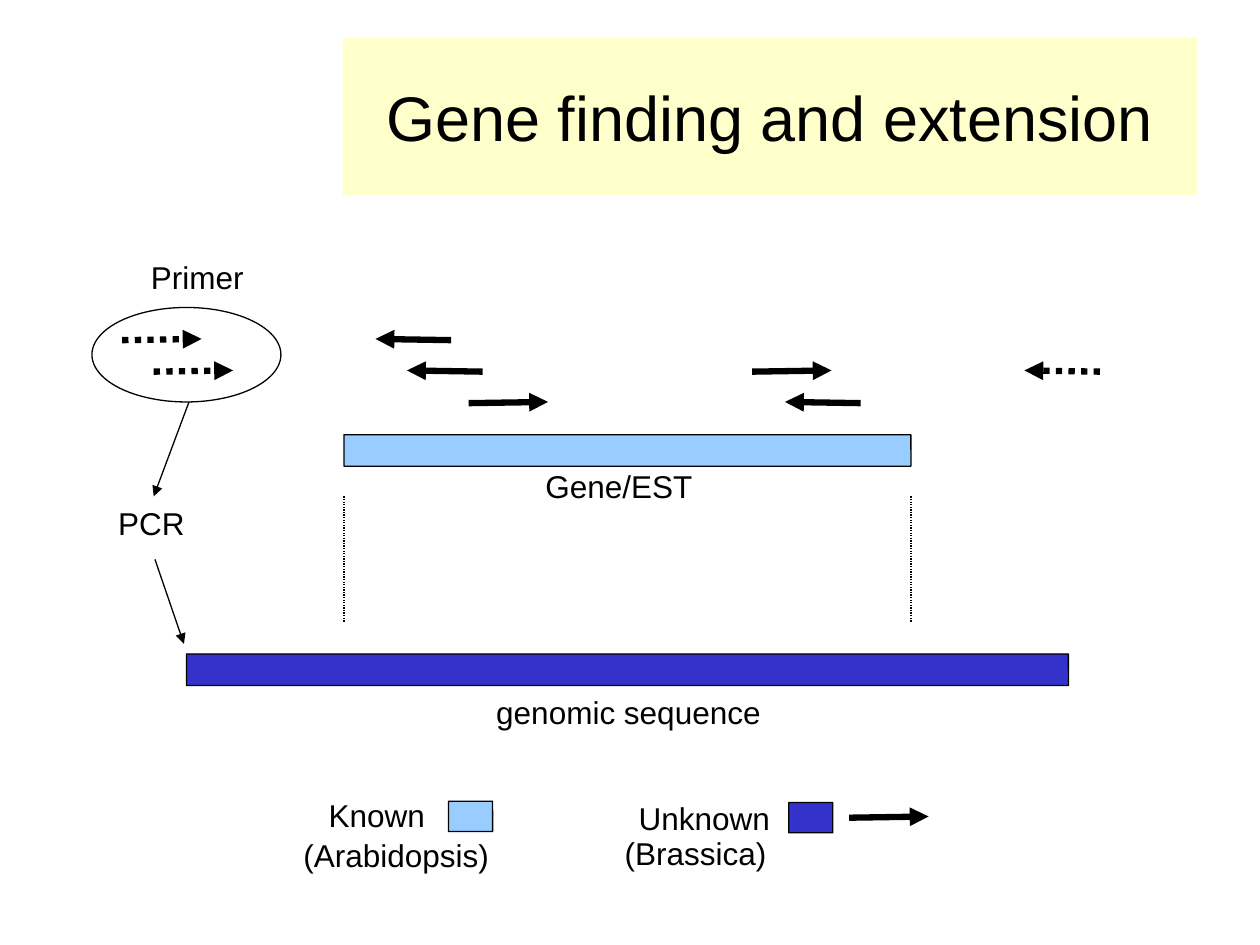
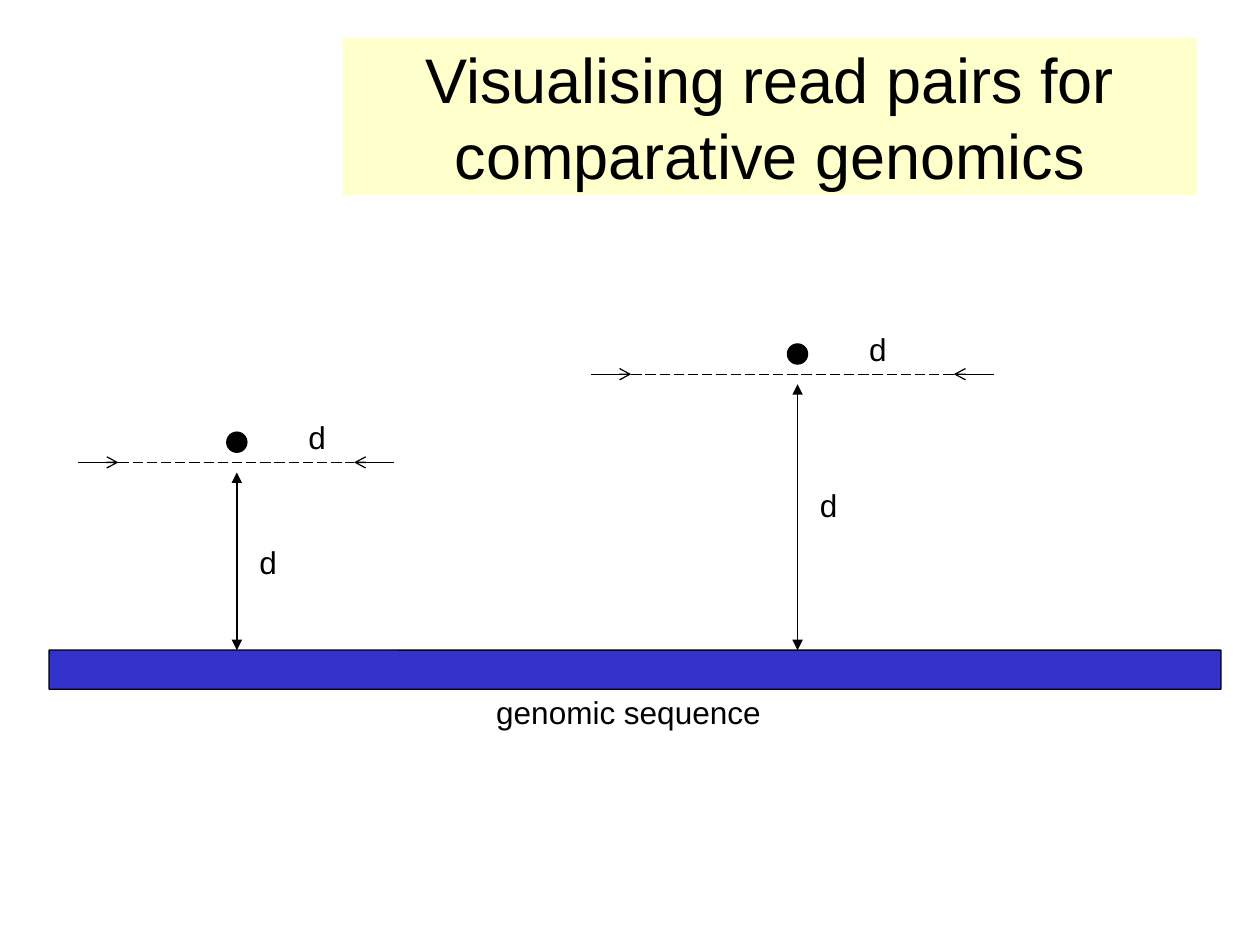
import pptx
import pptx.util
import pptx.dml.color
import pptx.enum.dml
import pptx.enum.shapes
import pptx.enum.text
from pptx.oxml.ns import qn
from lxml import etree

# ---- Shared look ----
WIDTH, HEIGHT = 10, 7.5
FONT = "Arial"
BLACK, TITLE_BAND, KNOWN, UNKNOWN = "000000", "FFFFCC", "99CCFF", "3333CC"
THIN, THICK = 0.75, 3.6
TITLE_BOX = (2.72, 0.3, 6.78, 1.25)
SEQUENCE_LABEL = ("genomic sequence", 3.84, 5.49, 3.5)
SHAPES = pptx.enum.shapes.MSO_SHAPE
DOTTED = pptx.enum.dml.MSO_LINE.ROUND_DOT
DASHED = pptx.enum.dml.MSO_LINE.LONG_DASH

# ---- Slide 1: gene finding ----
FINDING_TITLE = "Gene finding and extension"
FINDING_BARS = [  # left, top, width, height, colour
    (2.73, 3.45, 4.5, 0.25, KNOWN),
    (1.48, 5.19, 7, 0.25, UNKNOWN),
    (3.56, 6.36, 0.35, 0.24, KNOWN),
    (6.26, 6.37, 0.35, 0.24, UNKNOWN),
]
FINDING_LABELS = [  # text, left, top, width
    ("Primer", 1.1, 2.04, 1),
    ("PCR", 0.84, 3.99, 1),
    ("Gene/EST", 4.23, 3.7, 1.5),
    SEQUENCE_LABEL,
    ("Known", 2.51, 6.31, 1.03),
    ("(Arabidopsis)", 2.31, 6.63, 1.8),
    ("Unknown", 4.97, 6.33, 1.28),
    ("(Brassica)", 4.86, 6.61, 1.5),
]
READ_TOP, READ_STEP = 2.69, 0.25
READS = [  # row, tail x, tip x, dash
    (0, 0.97, 1.6, DOTTED),
    (0, 3.58, 2.98, None),
    (1, 1.22, 1.85, DOTTED),
    (1, 3.83, 3.23, None),
    (1, 5.97, 6.6, None),
    (1, 8.73, 8.13, DOTTED),
    (2, 3.72, 4.35, None),
    (2, 6.83, 6.23, None),
    (15.16, 6.74, 7.37, None),  # legend
]
PRIMER_OVAL = (0.73, 2.44, 1.5, 0.75)
PCR_STEPS = [((1.5, 3.19), (1.22, 3.94)), ((1.23, 4.44), (1.46, 5.11))]
GUIDE_TOP, GUIDE_BOTTOM = 3.94, 4.94

# ---- Slide 2: read pairs ----
PAIRS_TITLE = "Visualising read pairs for comparative genomics"
GENOME_BAR = (0.39, 5.16, 9.3, 0.31, UNKNOWN)
READ_LENGTH, DOT = 0.32, 0.16
READ_PAIRS = [  # left, right, height of pair, axis x, top of lower label
    (0.62, 3.13, 3.67, 1.88, 4.3),
    (4.69, 7.89, 2.97, 6.33, 3.85),
]


def colour(hex_code):
    return pptx.dml.color.RGBColor.from_string(hex_code)


def inches(*lengths):
    return [pptx.util.Inches(length) for length in lengths]


def add_block(slide, kind, box, fill=None, outline=BLACK):
    block = slide.shapes.add_shape(kind, *inches(*box))
    block.shadow.inherit = False
    if fill:
        block.fill.solid()
        block.fill.fore_color.rgb = colour(fill)
    else:
        block.fill.background()
    if outline:
        block.line.color.rgb = colour(outline)
        block.line.width = pptx.util.Pt(THIN)
    else:
        block.line.fill.background()
    return block


def add_bar(slide, left, top, width, height, fill):
    bar = add_block(slide, SHAPES.ROUNDED_RECTANGLE, (left, top, width, height), fill)
    bar.adjustments[0] = 0.007


def write(paragraph, text, size):
    paragraph.text = text
    paragraph.font.name = FONT
    paragraph.font.size = pptx.util.Pt(size)
    paragraph.font.color.rgb = colour(BLACK)


def add_label(slide, text, left, top, width, height=0.38):
    label = slide.shapes.add_textbox(*inches(left, top, width, height))
    label.text_frame.word_wrap = True
    paragraph = label.text_frame.paragraphs[0]
    paragraph.line_spacing = 0.87
    write(paragraph, text, 18)


def add_line(slide, start, end, weight=THIN, dash=None, head=None, tail=None):
    """Draw a line; head is the arrowhead at its start, tail the one at its end."""
    line = slide.shapes.add_connector(
        pptx.enum.shapes.MSO_CONNECTOR.STRAIGHT, *inches(*start, *end))
    line.line.color.rgb = colour(BLACK)
    line.line.width = pptx.util.Pt(weight)
    if dash:
        line.line.dash_style = dash
    outline = line.line._get_or_add_ln()
    for tag, arrow in (("a:headEnd", head), ("a:tailEnd", tail)):
        if arrow:
            etree.SubElement(outline, qn(tag), type=arrow)
    etree.SubElement(line._element.spPr, qn("a:effectLst"))


def add_titled_slide(deck, title):
    slide = deck.slides.add_slide(deck.slide_layouts[6])
    band = add_block(slide, SHAPES.RECTANGLE, TITLE_BOX, TITLE_BAND, outline=None)
    band.text_frame.word_wrap = True
    band.text_frame.vertical_anchor = pptx.enum.text.MSO_ANCHOR.MIDDLE
    paragraph = band.text_frame.paragraphs[0]
    paragraph.alignment = pptx.enum.text.PP_ALIGN.CENTER
    write(paragraph, title, 36)
    return slide


def build_gene_finding(deck):
    slide = add_titled_slide(deck, FINDING_TITLE)
    for bar in FINDING_BARS:
        add_bar(slide, *bar)
    for row, tail_x, tip_x, dash in READS:
        y = READ_TOP + row * READ_STEP
        add_line(slide, (tail_x, y + 0.01), (tip_x, y), THICK, dash, tail="triangle")
    add_block(slide, SHAPES.OVAL, PRIMER_OVAL)
    for start, end in PCR_STEPS:
        add_line(slide, start, end, tail="triangle")
    # Guides drop from both ends of the gene
    gene_left, _, gene_width, _, _ = FINDING_BARS[0]
    for x in (gene_left, gene_left + gene_width):
        add_line(slide, (x, GUIDE_TOP), (x, GUIDE_BOTTOM), dash=DOTTED)
    for label in FINDING_LABELS:
        add_label(slide, *label)


def build_read_pairs(deck):
    slide = add_titled_slide(deck, PAIRS_TITLE)
    add_bar(slide, *GENOME_BAR)
    add_label(slide, *SEQUENCE_LABEL)
    for left, right, y, axis, distance_top in READ_PAIRS:
        inner_left, inner_right = left + READ_LENGTH, right - READ_LENGTH
        add_line(slide, (left, y), (inner_left, y), tail="arrow")
        add_line(slide, (inner_right, y), (right, y), head="arrow")
        add_line(slide, (inner_left, y), (inner_right, y), dash=DASHED)
        add_block(slide, SHAPES.OVAL, (axis - DOT / 2, y - 0.24, DOT, DOT), BLACK)
        add_line(slide, (axis, y + 0.08), (axis, GENOME_BAR[1]),
                 head="triangle", tail="triangle")
        add_label(slide, "d", axis + 0.47, y - 0.36, 0.36, 0.36)
        add_label(slide, "d", axis + 0.08, distance_top, 0.36, 0.36)


def main():
    deck = pptx.Presentation()
    deck.slide_width, deck.slide_height = inches(WIDTH, HEIGHT)
    build_gene_finding(deck)
    build_read_pairs(deck)
    deck.save("out.pptx")


if __name__ == "__main__":
    main()
